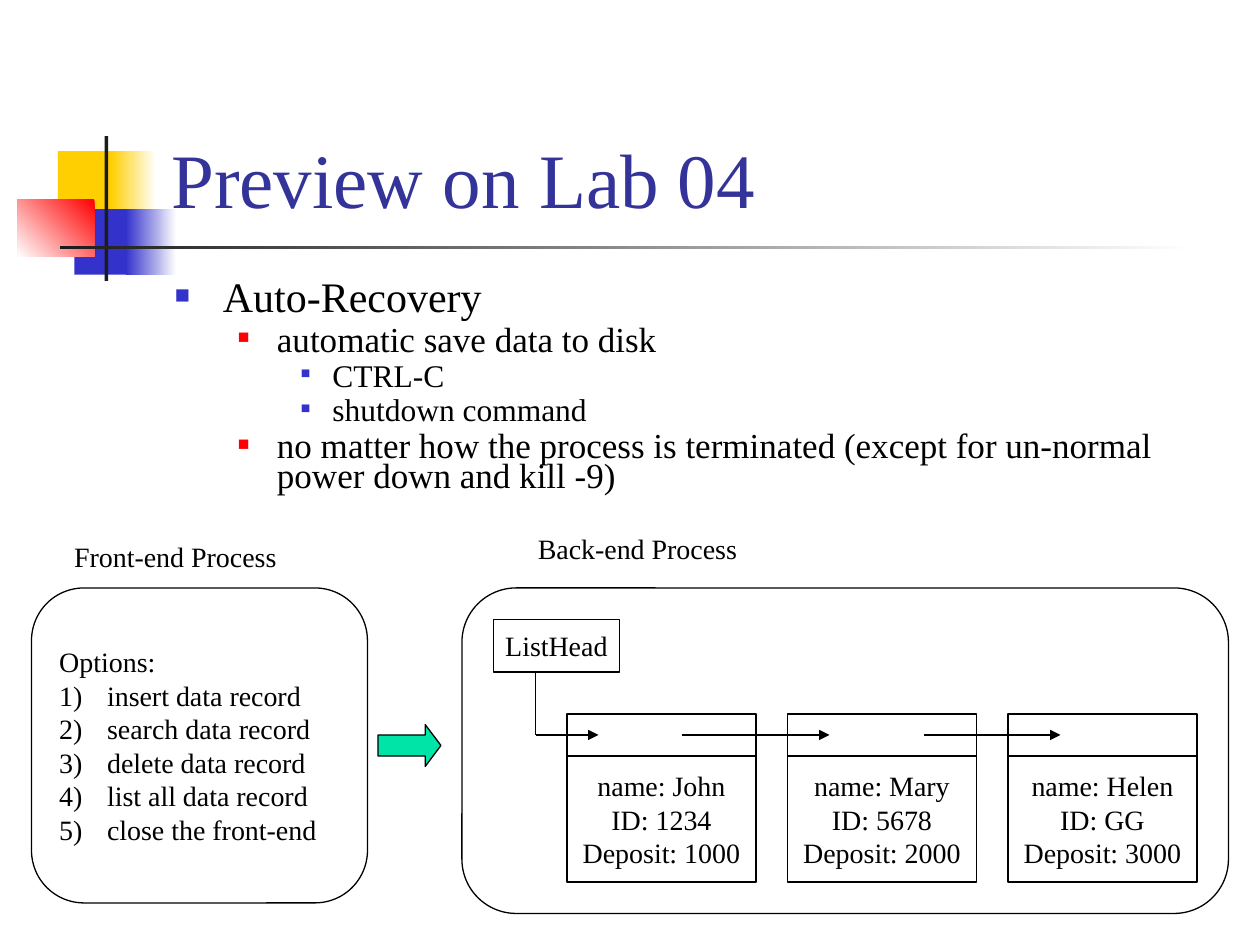
from lxml import etree
from pptx import Presentation
from pptx.dml.color import RGBColor
from pptx.enum.shapes import MSO_CONNECTOR, MSO_SHAPE
from pptx.enum.text import MSO_ANCHOR, MSO_AUTO_SIZE, PP_ALIGN
from pptx.oxml.ns import qn
from pptx.util import Inches, Pt

RECT, ROUND, ARROW = MSO_SHAPE.RECTANGLE, MSO_SHAPE.ROUNDED_RECTANGLE, MSO_SHAPE.RIGHT_ARROW
STRAIGHT = MSO_CONNECTOR.STRAIGHT
LEFT, CENTER = PP_ALIGN.LEFT, PP_ALIGN.CENTER
MIDDLE, BOTTOM = MSO_ANCHOR.MIDDLE, MSO_ANCHOR.BOTTOM
NO_FIT = MSO_AUTO_SIZE.NONE

FONT = "Times New Roman"
BLACK, WHITE, DARK = "000000", "FFFFFF", "1C1C1C"
YELLOW, BLUE, RED = "FFCF01", "3333CC", "FF0000"
UNIT = 1 / 12

DECOR = [
    ((0.46, 1.2, 0.48, 0.52), [YELLOW], 0),
    ((0.88, 1.2, 0.36, 0.52), [WHITE, YELLOW], 180),
    ((0.59, 1.66, 0.46, 0.52), [BLUE], 0),
    ((1, 1.66, 0.4, 0.52), [WHITE, BLUE], 180),
    ((0.14, 1.58, 0.61, 0.46), [RED, WHITE], 225),
    ((0.83, 1.08, 0.03, 1.15), [DARK], 0),
    ((0.48, 1.95, 9, 0.03), [WHITE, DARK], 180),
]
TITLE = "Preview on Lab 04"
BODY = [
    (0, "Auto-Recovery"),
    (1, "automatic save data to disk"),
    (2, "CTRL-C"),
    (2, "shutdown command"),
    (1, "no matter how the process is terminated (except for un-normal power down and kill -9)"),
]
LEVELS = [
    dict(size=24, before=6, margin=0.38, hang=0.38, color=BLUE, pct=60),
    dict(size=20, before=5, margin=0.81, hang=0.31, color=RED, pct=55),
    dict(size=18, before=4.5, margin=1.25, hang=0.25, color=BLUE, pct=50),
]
RECORDS = [("John", "1234", 1000), ("Mary", "5678", 2000), ("Helen", "GG", 3000)]
LINKS = [
    ((65, 70), (79, 70), True),
    ((88, 70), (101, 70), True),
    ((51, 64), (51, 70), False),
    ((51, 70), (57, 70), True),
]
LABELS = [("Back-end Process", (4.17, 4.17, 1.9, 0.37)),
          ("Front-end Process", (0.49, 4.23, 1.9, 0.37))]
OPTIONS = ["Options:", "insert data record", "search data record",
           "delete data record", "list all data record", "close the front-end"]


def rgb(value):
    return RGBColor.from_string(value)


def inches(values):
    return [Inches(v) for v in values]


def grid(*cells):
    return [c * UNIT for c in cells]


def add_xml(parent, tag, **attrs):
    return etree.SubElement(parent, qn(tag), attrs)


def write(tf, lines, size=16, color=BLACK, align=LEFT):
    for i, line in enumerate(lines):
        p = tf.paragraphs[0] if i == 0 else tf.add_paragraph()
        p.text = line
        p.alignment = align
        p.font.name, p.font.size = FONT, Pt(size)
        p.font.color.rgb = rgb(color)


def set_indent(p, margin, hang):
    pPr = p._p.get_or_add_pPr()
    pPr.set("marL", str(Inches(margin)))
    pPr.set("indent", str(-Inches(hang)))
    return pPr


def add_box(s, at, kind=RECT, fill=None, line=BLACK, lines=(), align=CENTER):
    sp = s.shapes.add_shape(kind, *inches(at))
    sp.shadow.inherit = False
    if fill:
        sp.fill.solid()
        sp.fill.fore_color.rgb = rgb(fill)
    else:
        sp.fill.background()
    if line:
        sp.line.color.rgb = rgb(line)
        sp.line.width = Pt(0.75)
    else:
        sp.line.fill.background()
    if lines:
        sp.text_frame.word_wrap = False
        sp.text_frame.vertical_anchor = MIDDLE
        write(sp.text_frame, lines, align=align)
    return sp


def add_decor(s):
    for at, colors, angle in DECOR:
        sp = add_box(s, at, fill=colors[0], line=None)
        if len(colors) > 1:
            sp.fill.gradient()
            sp.fill.gradient_angle = angle
            for stop, color in zip(sp.fill.gradient_stops, colors):
                stop.color.rgb = rgb(color)


def add_title(s):
    sp = s.shapes.title
    sp.left, sp.top, sp.width, sp.height = inches((1.26, 0.23, 8.52, 1.6))
    tf = sp.text_frame
    tf.auto_size, tf.vertical_anchor = NO_FIT, BOTTOM
    write(tf, [TITLE], 44, "333399")
    s.shapes._spTree.append(sp._element)


def add_text(s, at, lines):
    tf = s.shapes.add_textbox(*inches(at)).text_frame
    tf.word_wrap, tf.auto_size = True, NO_FIT
    write(tf, lines)
    return tf


def add_body(s):
    tf = add_text(s, (1.29, 2.21, 8.5, 1.96), [text for _, text in BODY])
    for p, (level, _) in zip(tf.paragraphs, BODY):
        style = LEVELS[level]
        p.level, p.line_spacing = level, 0.7
        p.space_before, p.font.size = Pt(style["before"]), Pt(style["size"])
        pPr = set_indent(p, style["margin"], style["hang"])
        add_xml(add_xml(pPr, "a:buClr"), "a:srgbClr", val=style["color"])
        add_xml(pPr, "a:buSzPct", val=str(style["pct"] * 1000))
        add_xml(pPr, "a:buFont", typeface=FONT)
        add_xml(pPr, "a:buChar", char="■")


def add_link(s, start, end, arrow):
    c = s.shapes.add_connector(STRAIGHT, *inches(grid(*start, *end)))
    c.line.color.rgb = rgb(BLACK)
    c.line.width = Pt(0.75)
    if arrow:
        add_xml(c.line._get_or_add_ln(), "a:tailEnd", type="triangle")
    add_xml(c._element.spPr, "a:effectLst")


def add_back_end(s):
    for i, (name, number, deposit) in enumerate(RECORDS):
        x = 54 + 21 * i
        add_box(s, grid(x, 72, 18, 12),
                lines=[f"name: {name}", f"ID: {number}", f"Deposit: {deposit}"])
        add_box(s, grid(x, 68, 18, 4))
    add_box(s, grid(47, 59, 12, 5), lines=["ListHead"])
    for link in LINKS:
        add_link(s, *link)
    add_box(s, grid(44, 56, 73, 31), ROUND)


def add_front_end(s):
    sp = add_box(s, grid(3, 56, 32, 30), ROUND, lines=OPTIONS, align=LEFT)
    for i, p in enumerate(sp.text_frame.paragraphs):
        pPr = set_indent(p, 0.38, 0.38)
        if i:
            add_xml(pPr, "a:buFont", typeface=FONT)
            add_xml(pPr, "a:buAutoNum", type="arabicParenR")
    arrow = add_box(s, grid(36, 69, 6, 4), ARROW, fill="00E4A8")
    arrow.adjustments[1] = 0.375


def main():
    prs = Presentation()
    prs.slide_width, prs.slide_height = Inches(10), Inches(7.5)
    s = prs.slides.add_slide(prs.slide_layouts[5])
    add_decor(s)
    add_title(s)
    add_body(s)
    add_back_end(s)
    add_front_end(s)
    for text, at in LABELS:
        add_text(s, at, [text])
    prs.save("out.pptx")


if __name__ == "__main__":
    main()
